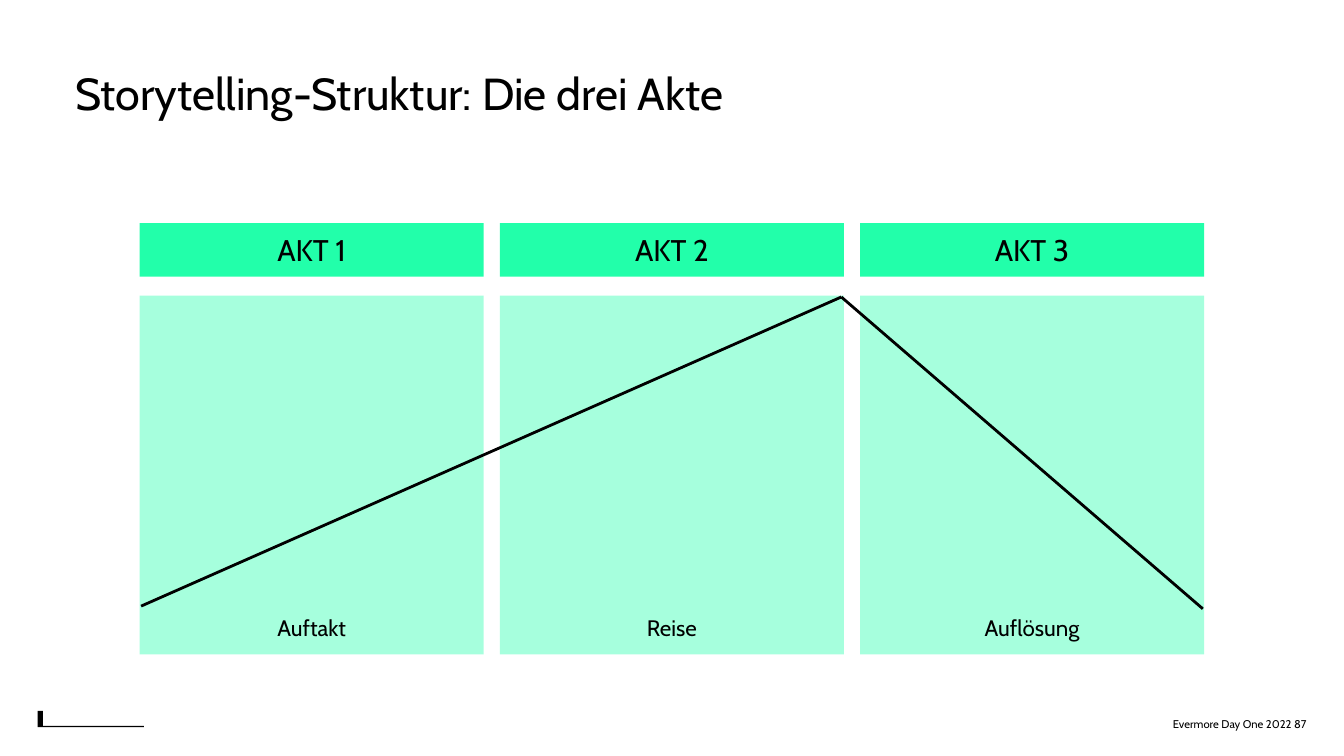
from lxml import etree
from pptx import Presentation, util as u
from pptx.dml.color import RGBColor
from pptx.enum import shapes, text
from pptx.oxml.ns import qn

COLORS = {"ink": "000000", "mint": "22FFAA", "paper": "FFFFFF"}
ACTS = [("AKT 1", "Auftakt"), ("AKT 2", "Reise"), ("AKT 3", "Auflösung")]
LEFT, WIDTH, GAP = 1.04, 2.56, 0.12


def color(name):
    return RGBColor.from_string(COLORS[name])


def write(shape, words, size, align="LEFT", anchor="TOP", insets=(0.1,) * 4):
    frame = shape.text_frame
    frame.auto_size = text.MSO_AUTO_SIZE.NONE
    frame.word_wrap = True
    frame.vertical_anchor = text.MSO_ANCHOR[anchor]
    (frame.margin_left, frame.margin_top,
     frame.margin_right, frame.margin_bottom) = map(u.Inches, insets)
    para = frame.paragraphs[0]
    para.alignment = text.PP_ALIGN[align]
    span = para.add_run()
    span.text = words
    span.font.name = "Cabin"
    span.font.size = u.Pt(size)
    span.font.color.rgb = color("ink")


class SlideBuilder:
    def __init__(self, deck):
        self.slide = deck.slides.add_slide(deck.slide_layouts[5])
        self.slide.background.fill.solid()
        self.slide.background.fill.fore_color.rgb = color("paper")

    def title(self, words, left, top, width, height):
        box = self.slide.shapes.title
        box.left, box.top, box.width, box.height = map(u.Inches, (left, top, width, height))
        write(box, words, 24, insets=(0.28,) * 4)

    def footer(self, words, left, top, width, height):
        box = self.slide.shapes.add_textbox(*map(u.Inches, (left, top, width, height)))
        write(box, words, 6, "RIGHT", "MIDDLE", (0.1, 0.1, 0, 0.1))

    def block(self, left, top, width, height, fill, kind="RECTANGLE", opacity=100):
        block = self.slide.shapes.add_shape(
            shapes.MSO_SHAPE[kind], *map(u.Inches, (left, top, width, height)))
        block.shadow.inherit = False
        block.line.fill.background()
        block.fill.solid()
        block.fill.fore_color.rgb = color(fill)
        if opacity < 100:
            tint = block.fill._xPr.find(".//" + qn("a:srgbClr"))
            etree.SubElement(tint, qn("a:alpha"), val=str(opacity * 1000))
        return block

    def line(self, start, end):
        line = self.slide.shapes.add_connector(
            shapes.MSO_CONNECTOR.STRAIGHT, *map(u.Inches, (*start, *end)))
        line.line.color.rgb = color("ink")
        line.line.width = u.Pt(1.5)
        etree.SubElement(line._element.spPr, qn("a:effectLst"))


def main():
    deck = Presentation()
    deck.slide_width = u.Inches(10)
    deck.slide_height = deck.slide_width * 9 // 16
    page = SlideBuilder(deck)
    page.title("Storytelling-Struktur: Die drei Akte", 0.28, 0.21, 8.66, 1.3)

    corner = page.block(0.28, 5.29, 0.79, 0.12, "ink", "CORNER")
    corner.adjustments[0], corner.adjustments[1] = 0.08, 0.32
    page.footer("Evermore Day One 2022 87", 7.8, 5.27, 1.92, 0.23)

    for index, (act, phase) in enumerate(ACTS):
        left = LEFT + index * (WIDTH + GAP)
        header = page.block(left, 1.66, WIDTH, 0.4, "mint")
        write(header, act, 16, "CENTER", "MIDDLE")
        panel = page.block(left, 2.2, WIDTH, 2.67, "mint", opacity=40)
        write(panel, phase, 12, "CENTER", "BOTTOM")

    peak = (6.26, 2.21)
    page.line((1.05, 4.51), peak)
    page.line(peak, (8.95, 4.53))
    deck.save("out.pptx")


if __name__ == "__main__":
    main()
